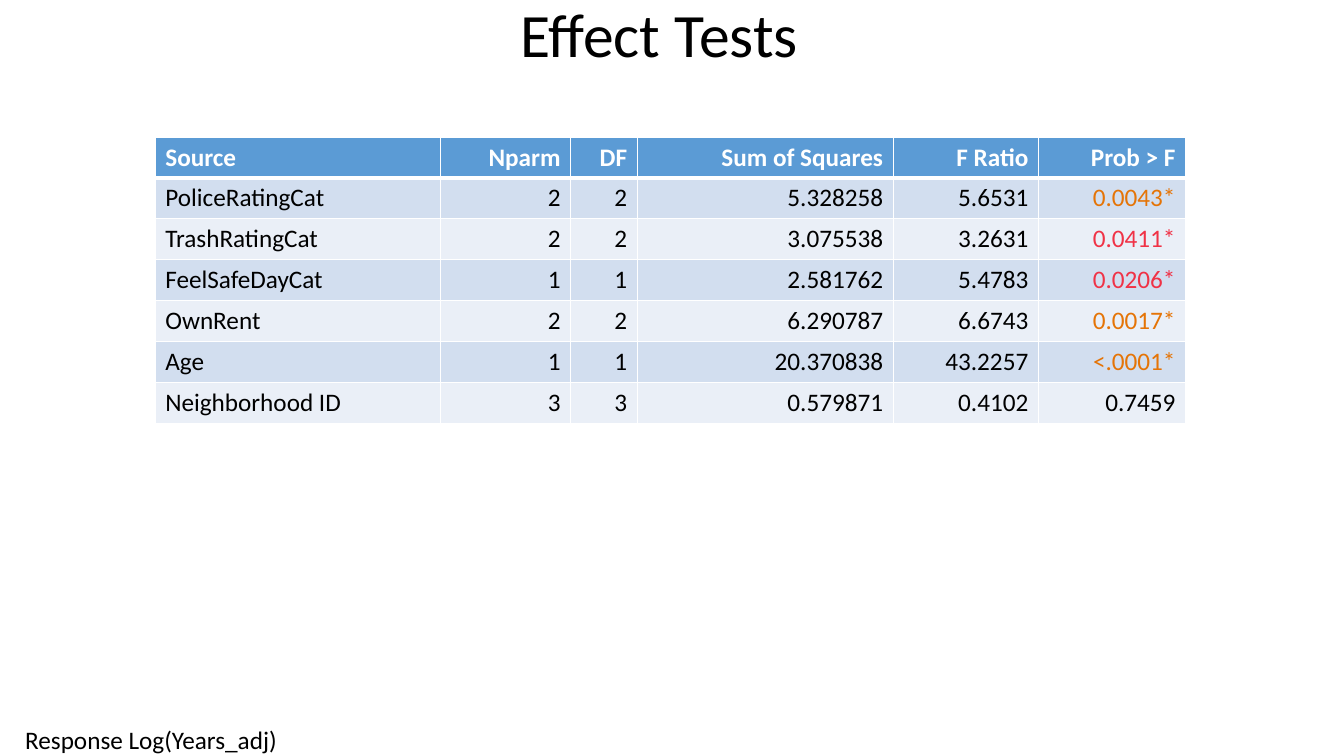
import pptx
import pptx.util
import pptx.dml.color
import pptx.enum.text
import pptx.oxml
import pptx.oxml.ns
from pptx.util import Inches

FONT = "Calibri"
BLACK, WHITE = "000000", "FFFFFF"
HEAD = "5B9BD5"
BANDS = ["D2DEEF", "EAEFF7"]
ORANGE, RED = "E57406", "F03246"
ALIGN = pptx.enum.text.PP_ALIGN
ANCHOR = pptx.enum.text.MSO_ANCHOR

WIDTHS = [2.83, 1.29, 0.66, 2.54, 1.44, 1.46]
HEIGHT = 2.84
ROWS = [
    ["Source", "Nparm", "DF", "Sum of Squares", "F Ratio", "Prob > F"],
    ["PoliceRatingCat", "2", "2", "5.328258", "5.6531", "0.0043*"],
    ["TrashRatingCat", "2", "2", "3.075538", "3.2631", "0.0411*"],
    ["FeelSafeDayCat", "1", "1", "2.581762", "5.4783", "0.0206*"],
    ["OwnRent", "2", "2", "6.290787", "6.6743", "0.0017*"],
    ["Age", "1", "1", "20.370838", "43.2257", "<.0001*"],
    ["Neighborhood ID", "3", "3", "0.579871", "0.4102", "0.7459"],
]


def color(code):
    return pptx.dml.color.RGBColor.from_string(code)


def style(para, size, code, align=ALIGN.LEFT, bold=False):
    para.alignment = align
    para.font.name = FONT
    para.font.size = pptx.util.Pt(size)
    para.font.bold = bold
    para.font.color.rgb = color(code)


def add_title(slide, text):
    box = slide.shapes.add_textbox(0, 0, Inches(13.08), Inches(0.75))
    frame = box.text_frame
    frame.word_wrap = True
    frame.vertical_anchor = ANCHOR.MIDDLE
    para = frame.paragraphs[0]
    para.text = text
    para.line_spacing = 0.9
    style(para, 44, BLACK, ALIGN.CENTER)


def add_note(slide, text):
    box = slide.shapes.add_textbox(Inches(0.25), Inches(7.19), Inches(2.53), Inches(0.31))
    frame = box.text_frame
    frame.word_wrap = False
    frame.auto_size = pptx.enum.text.MSO_AUTO_SIZE.SHAPE_TO_FIT_TEXT
    frame.margin_left = frame.margin_right = 0
    frame.margin_top = frame.margin_bottom = 0
    frame.text = text
    style(frame.paragraphs[0], 18, BLACK)


def set_edge(cell, side, points):
    """Draw a white line on one side (L, R, T or B) of a cell."""
    props = cell._tc.get_or_add_tcPr()
    props.append(pptx.oxml.parse_xml(
        f'<a:ln{side} {pptx.oxml.ns.nsdecls("a")} w="{pptx.util.Pt(points)}">'
        f'<a:solidFill><a:srgbClr val="{WHITE}"/></a:solidFill></a:ln{side}>'))


def text_color(row, col, text):
    """Mark significant values: orange below 0.01, red otherwise."""
    if row == 0:
        return WHITE
    if not text.endswith("*"):
        return BLACK
    return ORANGE if text.startswith(("<", "0.00")) else RED


def fill_cell(cell, row, col, text):
    for side in "LRTB":
        thick = (row == 0 and side == "B") or (row == 1 and side == "T")
        set_edge(cell, side, 3 if thick else 1)
    cell.fill.solid()
    cell.fill.fore_color.rgb = color(BANDS[(row - 1) % 2] if row else HEAD)
    cell.text = text
    align = ALIGN.RIGHT if col else ALIGN.LEFT
    style(cell.text_frame.paragraphs[0], 18, text_color(row, col, text), align, row == 0)


def add_tests(slide):
    frame = slide.shapes.add_table(len(ROWS), len(WIDTHS), Inches(1.54), Inches(1.36),
                                   Inches(sum(WIDTHS)), Inches(HEIGHT))
    table = frame.table
    for col, width in enumerate(WIDTHS):
        table.columns[col].width = Inches(width)
    for row, texts in enumerate(ROWS):
        table.rows[row].height = Inches(HEIGHT / len(ROWS))
        for col, text in enumerate(texts):
            fill_cell(table.cell(row, col), row, col, text)


def main():
    deck = pptx.Presentation()
    deck.slide_width = Inches(13.33)
    deck.slide_height = Inches(7.5)
    slide = deck.slides.add_slide(deck.slide_layouts[6])
    add_note(slide, "Response Log(Years_adj)")
    add_title(slide, "Effect Tests")
    add_tests(slide)
    deck.save("out.pptx")


if __name__ == "__main__":
    main()
